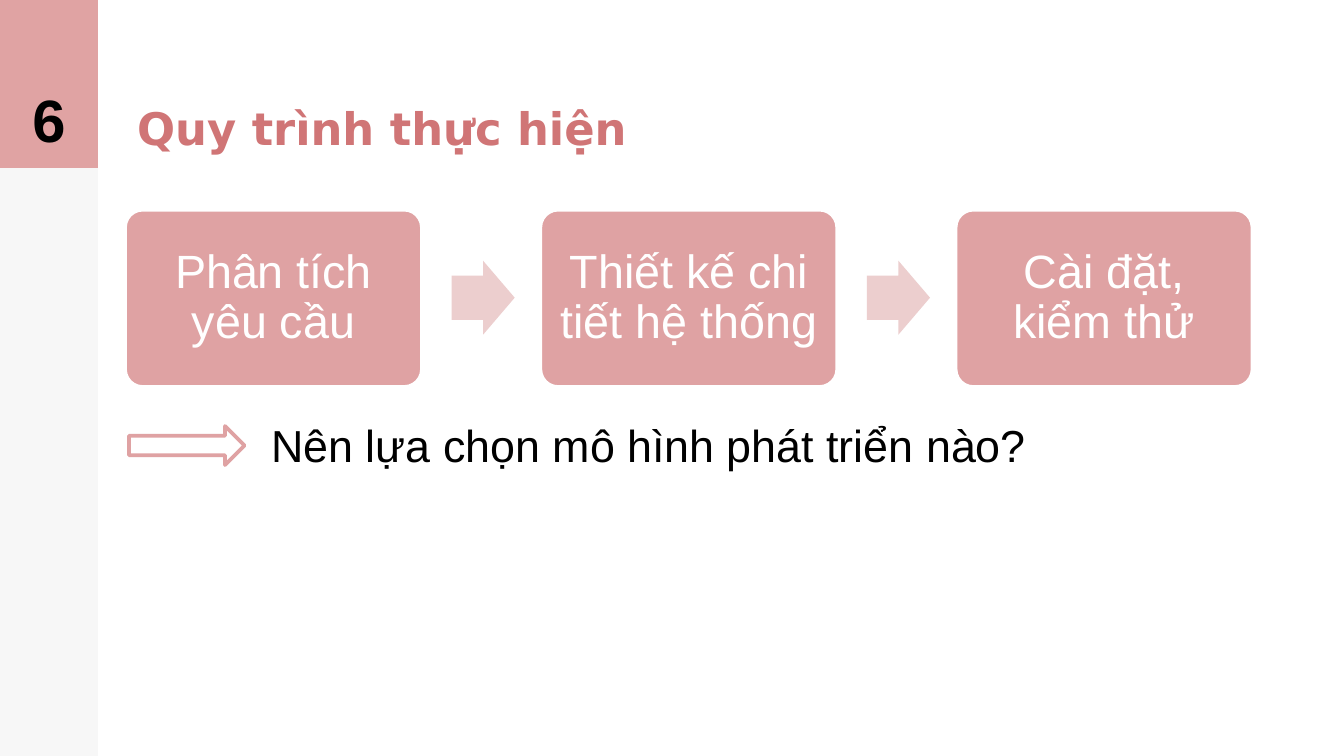
from dataclasses import dataclass
from typing import Optional

from pptx import Presentation
from pptx.dml.color import RGBColor
from pptx.enum.shapes import MSO_SHAPE
from pptx.enum.text import MSO_ANCHOR, MSO_AUTO_SIZE, PP_ALIGN
from pptx.util import Inches, Pt

RECT = MSO_SHAPE.RECTANGLE
ROUNDED = MSO_SHAPE.ROUNDED_RECTANGLE
ARROW = MSO_SHAPE.RIGHT_ARROW
LEFT, CENTER = PP_ALIGN.LEFT, PP_ALIGN.CENTER
TOP, MIDDLE, BOTTOM = MSO_ANCHOR.TOP, MSO_ANCHOR.MIDDLE, MSO_ANCHOR.BOTTOM
NO_FIT = MSO_AUTO_SIZE.NONE

COLORS = {
    "sidebar": "F7F7F7",
    "accent": "E0A3A3",
    "step": "DFA2A3",
    "step_arrow": "ECCECE",
    "title": "D07576",
    "black": "000000",
    "white": "FFFFFF",
}

SLIDE_WIDTH = 10
SLIDE_HEIGHT = SLIDE_WIDTH * 9 / 16

STEPS = ["Phân tích yêu cầu", "Thiết kế chi tiết hệ thống", "Cài đặt, kiểm thử"]
STEP_LEFT, STEP_PITCH = 0.93, 3.09
ARROW_OFFSET = 2.43


@dataclass
class Box:
    left: float
    top: float
    width: float
    height: float

    def emu(self) -> tuple:
        return tuple(Inches(v) for v in (self.left, self.top, self.width, self.height))


@dataclass
class TextStyle:
    size: float
    color: str
    font: str = "Arial"
    bold: bool = False
    align: PP_ALIGN = LEFT
    anchor: MSO_ANCHOR = TOP
    inset_x: float = 0.1
    inset_y: float = 0.1
    line_spacing: float = 1.0


def rgb(name: str) -> RGBColor:
    return RGBColor.from_string(COLORS[name])


def write(sp, text: str, style: TextStyle) -> None:
    tf = sp.text_frame
    tf.word_wrap = True
    tf.auto_size = NO_FIT
    tf.vertical_anchor = style.anchor
    tf.margin_left = tf.margin_right = Inches(style.inset_x)
    tf.margin_top = tf.margin_bottom = Inches(style.inset_y)
    p = tf.paragraphs[0]
    p.alignment = style.align
    p.line_spacing = style.line_spacing
    r = p.add_run()
    r.text = text
    r.font.name = style.font
    r.font.size = Pt(style.size)
    r.font.bold = style.bold
    r.font.color.rgb = rgb(style.color)


def add_block(slide, kind: MSO_SHAPE, box: Box, fill: str,
              line: Optional[str] = None, adjustments: tuple = ()):
    sp = slide.shapes.add_shape(kind, *box.emu())
    sp.shadow.inherit = False
    sp.fill.solid()
    sp.fill.fore_color.rgb = rgb(fill)
    if line:
        sp.line.color.rgb = rgb(line)
        sp.line.width = Pt(2)
    else:
        sp.line.fill.background()
    for i, value in enumerate(adjustments):
        sp.adjustments[i] = value
    return sp


def main() -> None:
    prs = Presentation()
    prs.slide_width, prs.slide_height = Inches(SLIDE_WIDTH), Inches(SLIDE_HEIGHT)
    slide = prs.slides.add_slide(prs.slide_layouts[5])

    # Sidebar with page number
    add_block(slide, RECT, Box(0, 0, 0.73, SLIDE_HEIGHT), "sidebar")
    badge = add_block(slide, RECT, Box(0, 0, 0.73, 1.25), "accent")
    write(badge, "6", TextStyle(32, "black", bold=True, align=CENTER, anchor=BOTTOM))

    # Title
    title = slide.shapes.title
    title.left, title.top, title.width, title.height = Box(0.92, 0, 3.89, 1.25).emu()
    write(title, "Quy trình thực hiện",
          TextStyle(24, "title", font="DejaVu Sans", bold=True, anchor=BOTTOM))

    # Process steps, with an arrow between neighbours
    step_style = TextStyle(25, "white", align=CENTER, anchor=MIDDLE,
                           inset_x=0.08, line_spacing=0.9)
    for i, text in enumerate(STEPS):
        left = STEP_LEFT + i * STEP_PITCH
        step = add_block(slide, ROUNDED, Box(left, 1.56, 2.21, 1.32), "step", "white", (0.1,))
        write(step, text, step_style)
        if i < len(STEPS) - 1:
            add_block(slide, ARROW, Box(left + ARROW_OFFSET, 1.94, 0.47, 0.55),
                      "step_arrow", adjustments=(0.6, 0.5))

    # Closing question
    add_block(slide, ARROW, Box(0.96, 3.17, 0.86, 0.29), "white", "step")
    question = slide.shapes.add_textbox(*Box(1.92, 3.06, 6, 0.5).emu())
    write(question, "Nên lựa chọn mô hình phát triển nào?",
          TextStyle(24, "black", inset_y=0.05))

    prs.save("out.pptx")


if __name__ == "__main__":
    main()
